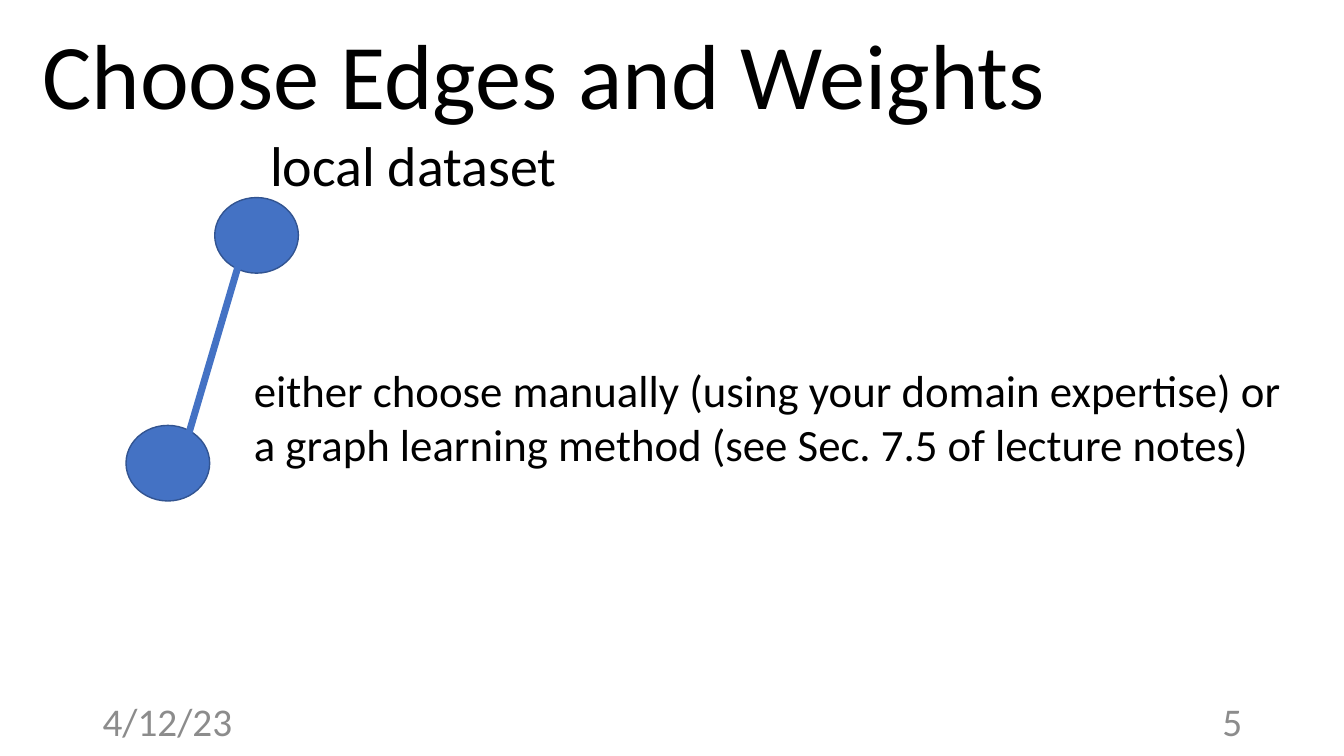
from dataclasses import dataclass

from lxml import etree
from pptx import Presentation
from pptx.dml.color import RGBColor
from pptx.enum.shapes import MSO_CONNECTOR, MSO_SHAPE
from pptx.enum.text import MSO_ANCHOR, MSO_AUTO_SIZE, PP_ALIGN
from pptx.oxml.ns import qn
from pptx.util import Inches, Pt

STRAIGHT = MSO_CONNECTOR.STRAIGHT
OVAL = MSO_SHAPE.OVAL
TOP, MIDDLE = MSO_ANCHOR.TOP, MSO_ANCHOR.MIDDLE
LEFT, RIGHT = PP_ALIGN.LEFT, PP_ALIGN.RIGHT
NO_AUTOFIT = MSO_AUTO_SIZE.NONE
TITLE_ONLY = 5


@dataclass(frozen=True)
class Theme:
    font: str = "Calibri"
    ink: RGBColor = RGBColor(0x00, 0x00, 0x00)
    footer: RGBColor = RGBColor(0x8C, 0x8C, 0x8C)
    node: RGBColor = RGBColor(0x44, 0x72, 0xC4)
    node_outline: RGBColor = RGBColor(0x32, 0x54, 0x91)
    title_size: int = 66
    label_size: int = 40
    body_size: int = 32
    footer_size: int = 28
    outline_width: int = 1
    edge_width: int = 5


class GraphSlide:
    def __init__(self, slide, theme):
        self.slide = slide
        self.theme = theme

    def set_text(self, shape, text, size, color, align=LEFT, anchor=TOP, wrap=True):
        frame = shape.text_frame
        frame.text = text
        frame.word_wrap = wrap
        frame.auto_size = NO_AUTOFIT
        frame.vertical_anchor = anchor
        paragraph = frame.paragraphs[0]
        paragraph.alignment = align
        font = paragraph.runs[0].font
        font.name = self.theme.font
        font.size = Pt(size)
        font.color.rgb = color

    def title(self, text, left, top, width, height):
        heading = self.slide.shapes.title
        heading.left, heading.top = Inches(left), Inches(top)
        heading.width, heading.height = Inches(width), Inches(height)
        self.set_text(heading, text, self.theme.title_size, self.theme.ink)

    def text(self, text, left, top, width, height, size, color, **layout):
        box = self.slide.shapes.add_textbox(
            Inches(left), Inches(top), Inches(width), Inches(height))
        self.set_text(box, text, size, color, **layout)

    def node(self, left, top, width=0.83, height=0.75):
        circle = self.slide.shapes.add_shape(
            OVAL, Inches(left), Inches(top), Inches(width), Inches(height))
        circle.shadow.inherit = False
        circle.fill.solid()
        circle.fill.fore_color.rgb = self.theme.node
        circle.line.color.rgb = self.theme.node_outline
        circle.line.width = Pt(self.theme.outline_width)

    def edge(self, x1, y1, x2, y2):
        link = self.slide.shapes.add_connector(
            STRAIGHT, Inches(x1), Inches(y1), Inches(x2), Inches(y2))
        link.line.color.rgb = self.theme.node
        link.line.width = Pt(self.theme.edge_width)
        etree.SubElement(link._element.spPr, qn("a:effectLst"))


def main():
    deck = Presentation()
    deck.slide_width, deck.slide_height = Inches(13.33), Inches(7.5)
    theme = Theme()
    page = GraphSlide(
        deck.slides.add_slide(deck.slide_layouts[TITLE_ONLY]), theme)

    # Title
    page.title("Choose Edges and Weights", 0.32, 0.12, 10.82, 1.21)

    # Graph: two nodes joined by an edge
    for left, top in ((2.13, 1.96), (1.25, 4.22)):
        page.node(left, top)
    page.edge(1.82, 4.48, 2.48, 2.24)

    # Explanations
    page.text("local dataset", 2.58, 1.25, 3.2, 0.77,
              theme.label_size, theme.ink, wrap=False)
    page.text("either choose manually (using your domain expertise) or "
              "a graph learning method (see Sec. 7.5 of lecture notes)",
              2.42, 3.55, 10.64, 1.18, theme.body_size, theme.ink)

    # Footer: date and slide number
    for text, left, align in (("4/12/23", 0.92, LEFT), ("5", 9.42, RIGHT)):
        page.text(text, left, 6.95, 3, 0.4, theme.footer_size, theme.footer,
                  align=align, anchor=MIDDLE)

    deck.save("out.pptx")


if __name__ == "__main__":
    main()
